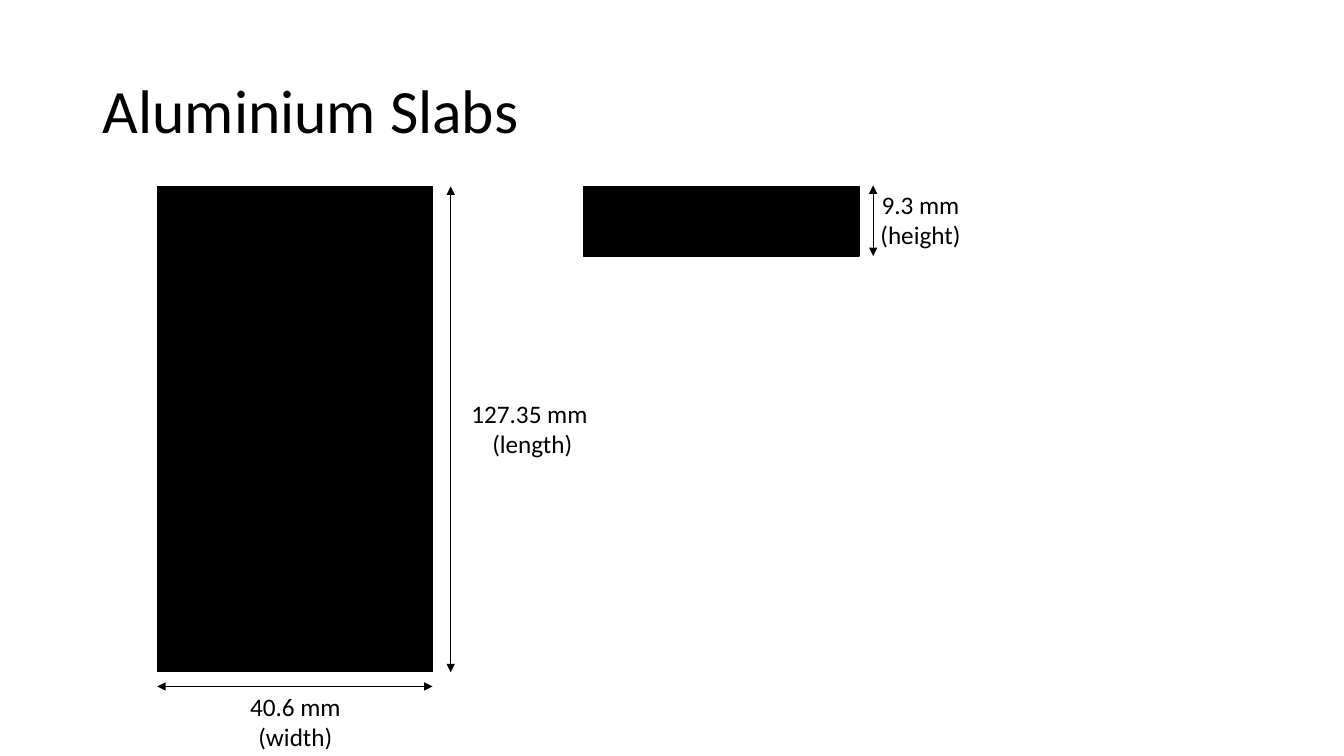
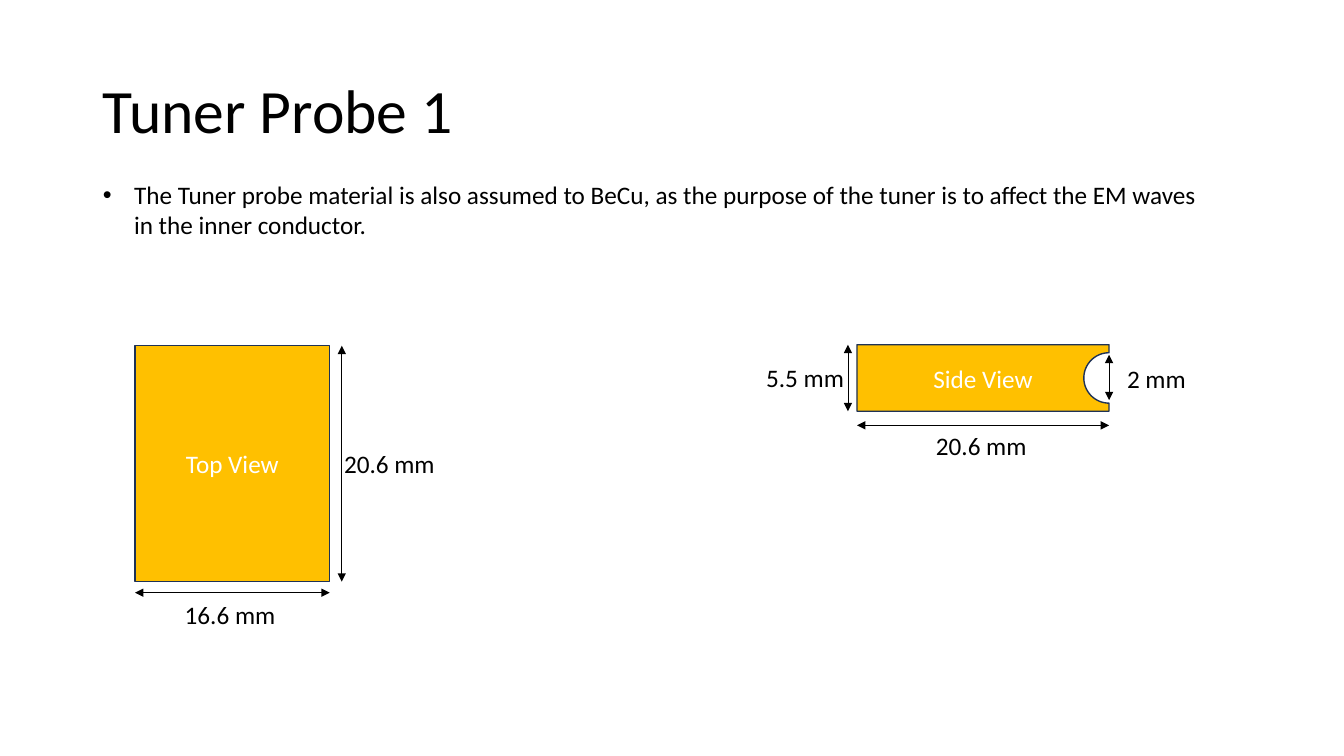
from math import cos, pi, sin
from lxml import etree
from pptx import Presentation
from pptx.dml.color import RGBColor
from pptx.enum.shapes import MSO_CONNECTOR as Conn, MSO_SHAPE as Geo
from pptx.enum.text import MSO_ANCHOR as Anchor, MSO_AUTO_SIZE as Fit, PP_ALIGN as Align
from pptx.oxml.ns import qn
from pptx.util import Inches, Pt

FONT, BLACK, WHITE, GOLD, NAVY = "Calibri", "000000", "FFFFFF", "FFC000", "1E3256"
TITLE_BOX = (0.92, 0.4, 11.5, 1.45)
NOTE_BOX = (0.92, 1.73, 11.08, 0.71)
LABEL_W, LINE_H, PAD = 1.44, 0.31, 0.1

NOTE = ("The Tuner probe material is also assumed to BeCu, as the purpose of "
        "the tuner is to affect the EM waves in the inner conductor.")
SIDE = (8.5, 3.42, 2.5, 0.66)
NOTCH = 0.25

# blocks: left, top, width, height, text; arrows: from x, y, to x, y
# labels: left, top, lines, alignment
SLIDES = [
    dict(title="Aluminium Slabs", fill=BLACK, line=BLACK,
         blocks=[(1.56, 1.85, 2.73, 4.81, ""), (5.79, 1.85, 2.73, 0.69, "")],
         arrows=[(4.47, 1.85, 4.47, 6.67), (1.56, 6.81, 4.29, 6.81),
                 (8.66, 1.84, 8.66, 2.54)],
         labels=[(4.56, 3.9, ["127.35 mm ", "(length)"], Align.CENTER),
                 (2.21, 6.81, ["40.6 mm", "(width)"], Align.CENTER),
                 (8.41, 1.83, ["9.3 mm", "(height)"], Align.CENTER)]),
    dict(title="Tuner Probe 1", note=NOTE, side=SIDE, fill=GOLD, line=NAVY,
         blocks=[(1.34, 3.43, 1.93, 2.34, "Top View")],
         arrows=[(3.39, 3.43, 3.39, 5.77), (3.27, 5.88, 1.34, 5.88),
                 (11, 4.22, 8.5, 4.22), (11, 3.97, 11, 3.52),
                 (8.41, 4.08, 8.41, 3.42)],
         labels=[(9.04, 4.22, ["20.6 mm "], Align.CENTER),
                 (1.59, 5.9, ["16.6 mm "], Align.CENTER),
                 (3.17, 4.4, ["20.6 mm "], Align.CENTER),
                 (11.08, 3.55, ["2 mm"], Align.LEFT),
                 (7.5, 3.54, ["5.5 mm"], Align.LEFT)]),
]


def rgb(code):
    return RGBColor.from_string(code)


def write(shape, lines, size=18, color=BLACK, align=Align.CENTER, anchor=Anchor.TOP):
    frame = shape.text_frame
    frame.text = "\n".join(lines)
    frame.word_wrap = True
    frame.auto_size = Fit.NONE
    frame.vertical_anchor = anchor
    for para in frame.paragraphs:
        para.alignment = align
        para.space_before = Pt(0)
        font = para.font
        font.name, font.size = FONT, Pt(size)
        font.color.rgb = rgb(color)


def fill_holder(holder, box, text, **style):
    """Move a placeholder to box and set its text."""
    holder.left, holder.top, holder.width, holder.height = map(Inches, box)
    write(holder, [text], align=Align.LEFT, **style)
    return holder.text_frame.paragraphs[0]


def paint(shape, fill, line, text):
    shape.shadow.inherit = False
    shape.fill.solid()
    shape.fill.fore_color.rgb = rgb(fill)
    shape.line.color.rgb = rgb(line)
    shape.line.width = Pt(1)
    if text:
        write(shape, [text], color=WHITE, anchor=Anchor.MIDDLE)


def add_notched(shapes, x, y, w, h):
    """Draw a rectangle with a half-round notch in its right side."""
    right, mid, steps = x + w, y + h / 2, 48
    arc = [(right - NOTCH * sin(pi * i / steps), mid - NOTCH * cos(pi * i / steps))
           for i in range(steps + 1)]
    points = [(right, y), *arc, (right, y + h), (x, y + h)]
    build = shapes.build_freeform(Inches(x), Inches(y))
    build.add_line_segments([(Inches(a), Inches(b)) for a, b in points], close=True)
    return build.convert_to_shape()


def add_arrow(shapes, ends):
    """Draw a dimension line with a head at both ends."""
    arrow = shapes.add_connector(Conn.STRAIGHT, *map(Inches, ends))
    arrow.line.color.rgb = rgb(BLACK)
    arrow.line.width = Pt(0.5)
    for tag in ("a:headEnd", "a:tailEnd"):
        etree.SubElement(arrow.line._get_or_add_ln(), qn(tag), type="triangle")
    etree.SubElement(arrow._element.spPr, qn("a:effectLst"))


def add_slide(prs, data):
    note = data.get("note")
    slide = prs.slides.add_slide(prs.slide_layouts[1 if note else 5])
    shapes = slide.shapes
    title = fill_holder(shapes.title, TITLE_BOX, data["title"],
                        size=44, anchor=Anchor.MIDDLE)
    title.line_spacing = 0.9
    if note:
        para = fill_holder(slide.placeholders[1], NOTE_BOX, note)
        props = para._p.get_or_add_pPr()
        props.set("marL", str(Inches(0.31)))
        props.set("indent", str(-Inches(0.31)))
    for *box, text in data["blocks"]:
        block = shapes.add_shape(Geo.RECTANGLE, *map(Inches, box))
        paint(block, data["fill"], data["line"], text)
    if "side" in data:
        paint(add_notched(shapes, *data["side"]), data["fill"], data["line"], "Side View")
    for ends in data["arrows"]:
        add_arrow(shapes, ends)
    for x, y, lines, align in data["labels"]:
        box = x, y, LABEL_W, LINE_H * len(lines) + PAD
        write(shapes.add_textbox(*map(Inches, box)), lines, align=align)


def main():
    prs = Presentation()
    prs.slide_width, prs.slide_height = Inches(13.33), Inches(7.5)
    for data in SLIDES:
        add_slide(prs, data)
    prs.save("out.pptx")


if __name__ == "__main__":
    main()
